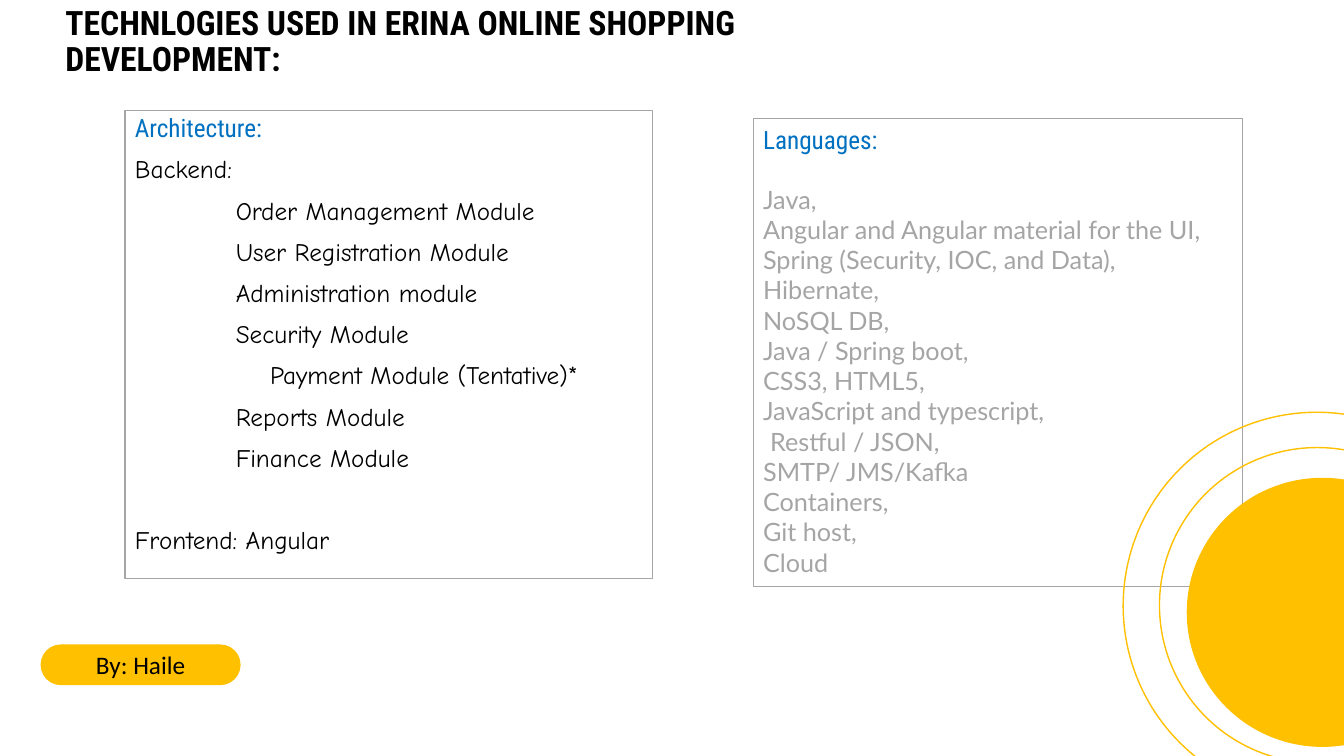
"""Build the slide listing the technologies of the online shop."""
from pptx import Presentation
from pptx.dml.color import RGBColor
from pptx.enum.shapes import MSO_SHAPE
from pptx.enum.text import MSO_ANCHOR, PP_ALIGN
from pptx.util import Inches, Pt

COLORS = {"black": "000000", "amber": "FFC000", "blue": "0070C0", "gray": "A5A5A5"}
TITLE = "TECHNLOGIES USED IN ERINA ONLINE SHOPPING DEVELOPMENT:"
AUTHOR = "By: Haile"
MODULES = [
    "Order Management Module", "User Registration Module", "Administration module",
    "Security Module", "Payment Module (Tentative)*", "Reports Module", "Finance Module",
]
LANGUAGES = [
    "Java,", "Angular and Angular material for the UI,",
    "Spring (Security, IOC, and Data),", "Hibernate,", "NoSQL DB,",
    "Java / Spring boot,", "CSS3, HTML5,", "JavaScript and typescript,",
    "Restful / JSON,", "SMTP/ JMS/Kafka", "Containers,", "Git host,", "Cloud",
]
INDENTS = {"Payment Module (Tentative)*": 1.34, "Restful / JSON,": 0.07}
GAPS = {"Frontend: Angular": 39.4, "Java,": 21.4}
PANELS = [
    {"box": (1.24, 1.1, 5.23, 4.64), "head": "Architecture:",
     "lines": [("Backend:", 0)] + [(m, 1) for m in MODULES] + [("Frontend: Angular", 0)],
     "font": "Comic Neue", "color": "black", "spacing": 0.9, "gap": 10},
    {"box": (7.47, 1.18, 4.85, 4.64), "head": "Languages:",
     "lines": [(name, 0) for name in LANGUAGES],
     "font": "Lato", "color": "gray", "spacing": 1.0, "gap": 0},
]
CIRCLES = [
    ((11.77, 4.74, 2.69, 2.67), "amber", None),
    ((11.5, 4.44, 3.13, 3.13), None, "amber"),
    ((11.14, 4.09, 3.84, 3.84), None, "amber"),
]


def rgb(name):
    return RGBColor.from_string(COLORS[name])


def add_shape(s, kind, box, fill=None, line=None, width=1):
    sp = s.shapes.add_shape(kind, *map(Inches, box))
    sp.shadow.inherit = False
    if fill:
        sp.fill.solid()
        sp.fill.fore_color.rgb = rgb(fill)
    else:
        sp.fill.background()
    if line:
        sp.line.color.rgb = rgb(line)
        sp.line.width = Pt(width)
    else:
        sp.line.fill.background()
    return sp


def write(p, text, font, color, size=18, bold=False, align=PP_ALIGN.LEFT):
    p.text = text
    p.alignment = align
    p.font.name = font
    p.font.size = Pt(size)
    p.font.bold = bold
    p.font.color.rgb = rgb(color)


def add_panel(s, panel):
    sp = add_shape(s, MSO_SHAPE.RECTANGLE, panel["box"], line="gray", width=0.75)
    tf = sp.text_frame
    tf.word_wrap = True
    tf.vertical_anchor = MSO_ANCHOR.TOP
    p = tf.paragraphs[0]
    write(p, panel["head"], "Roboto Condensed", "blue")
    p.line_spacing = panel["spacing"]
    for text, level in panel["lines"]:
        p = tf.add_paragraph()
        write(p, text, panel["font"], panel["color"])
        p.line_spacing = panel["spacing"]
        p.space_before = Pt(GAPS.get(text, panel["gap"]))
        pPr = p._p.get_or_add_pPr()
        pPr.set("marL", str(Inches(INDENTS.get(text, level))))
        pPr.set("indent", "0")


def main():
    prs = Presentation()
    prs.slide_width, prs.slide_height = Inches(13.33), Inches(7.5)
    s = prs.slides.add_slide(prs.slide_layouts[6])

    title = s.shapes.add_textbox(*map(Inches, (0.55, 0.16, 8.22, 0.53)))
    tf = title.text_frame
    tf.word_wrap = True
    tf.vertical_anchor = MSO_ANCHOR.MIDDLE
    write(tf.paragraphs[0], TITLE, "Roboto Condensed", "black", size=24, bold=True)
    tf.paragraphs[0].line_spacing = 0.9

    badge = add_shape(s, MSO_SHAPE.ROUNDED_RECTANGLE, (0.41, 6.4, 1.97, 0.39), "amber", "amber")
    badge.adjustments[0] = 0.5
    badge.text_frame.vertical_anchor = MSO_ANCHOR.MIDDLE
    write(badge.text_frame.paragraphs[0], AUTHOR, "Calibri", "black", align=PP_ALIGN.CENTER)

    for panel in PANELS:
        add_panel(s, panel)
    for box, fill, line in CIRCLES:
        add_shape(s, MSO_SHAPE.OVAL, box, fill, line)
    prs.save("out.pptx")


if __name__ == "__main__":
    main()
